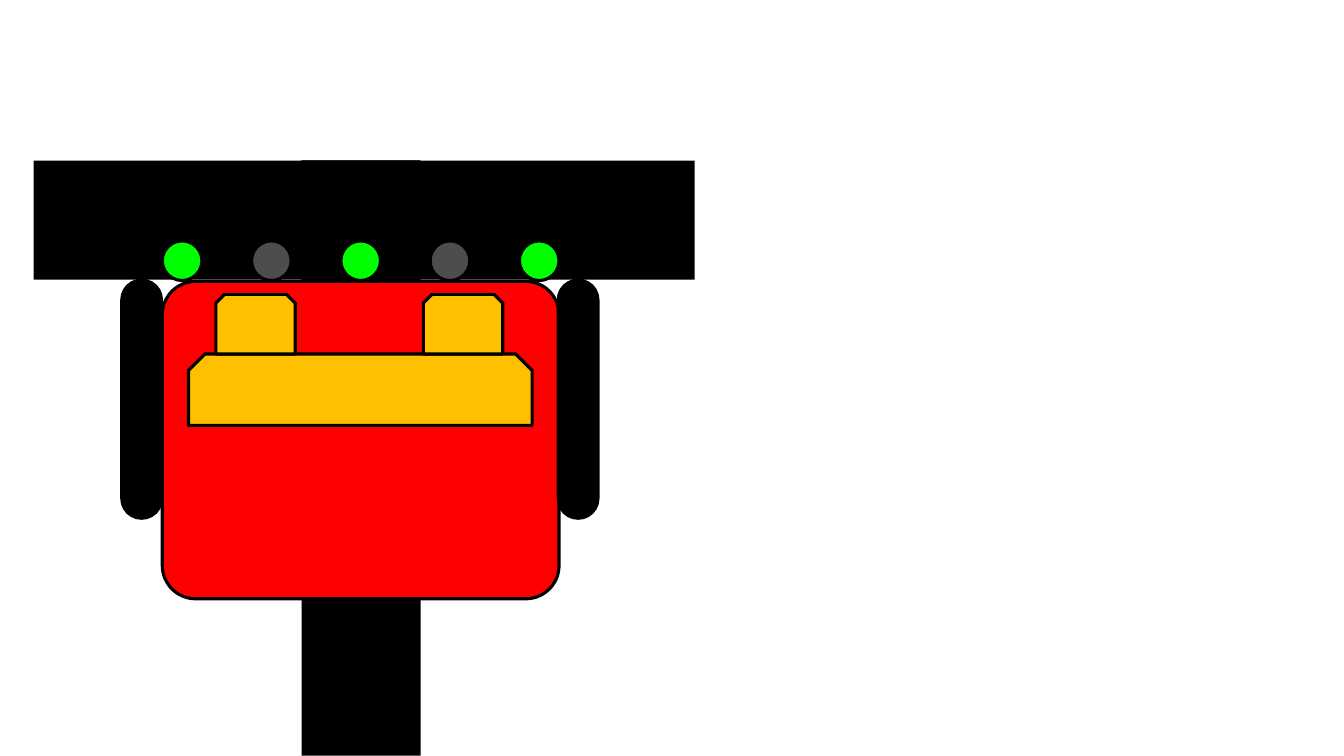
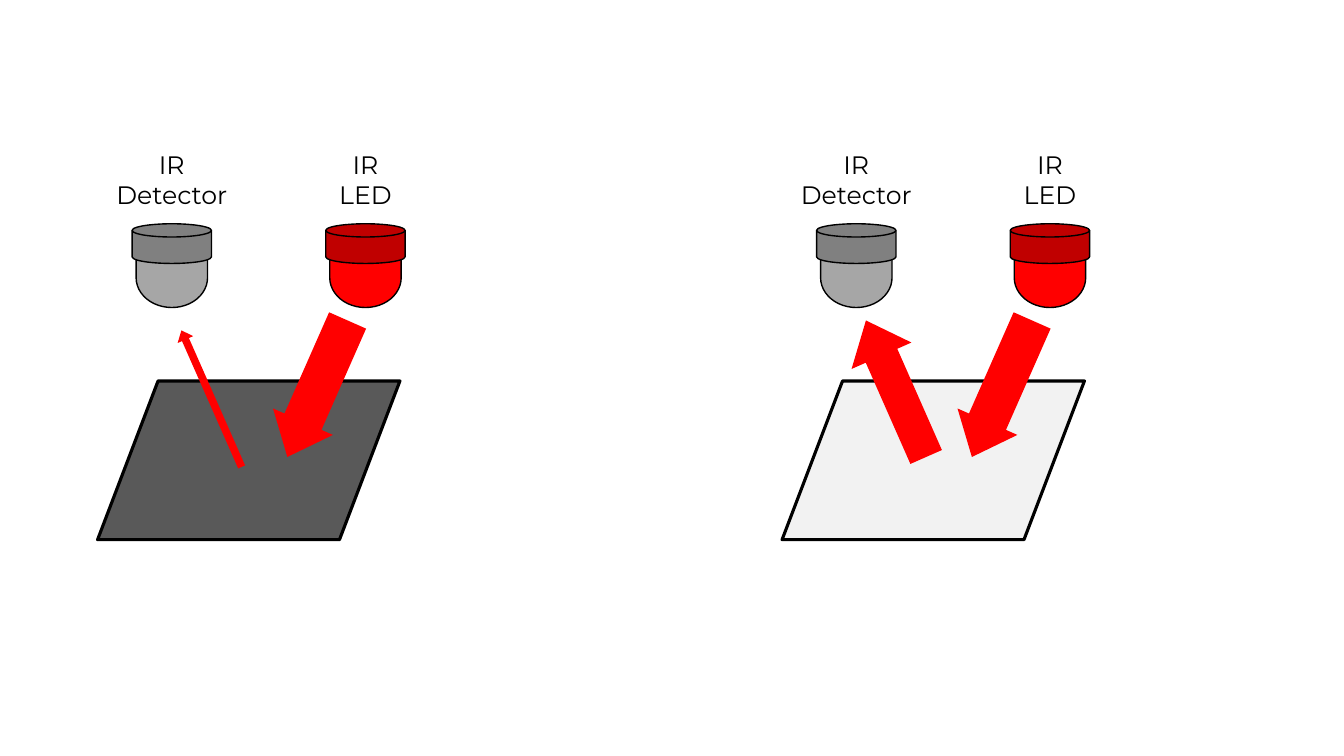
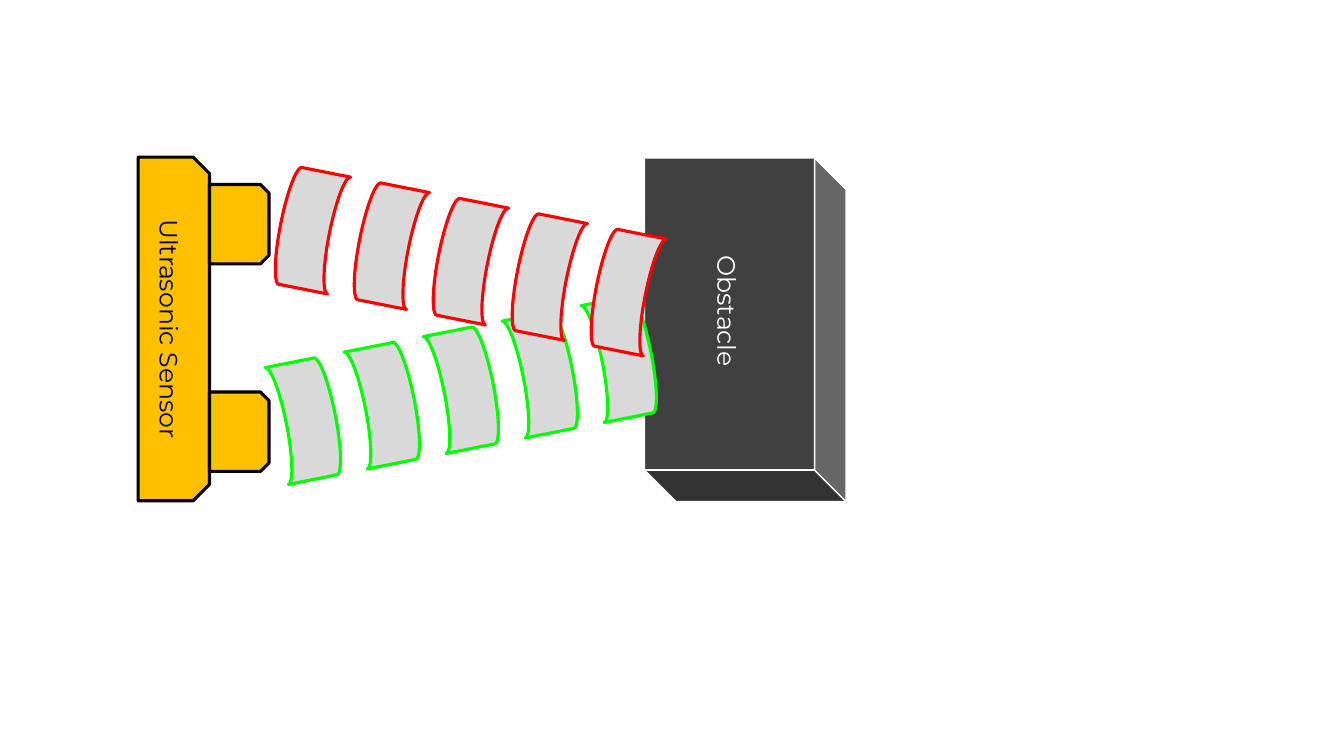
"""Draw a line-following robot, its infrared sensors and its ultrasonic sensor."""
from lxml.etree import SubElement
from pptx import Presentation
from pptx.dml.color import RGBColor
from pptx.enum.shapes import MSO_SHAPE as Kind
from pptx.enum.text import MSO_ANCHOR, PP_ALIGN
from pptx.oxml.ns import qn
from pptx.util import Cm, Pt

INK = {
    "black": "000000", "white": "FFFFFF", "red": "FF0000", "dark red": "C00000",
    "green": "00FF00", "gold": "FFC000", "gray": "A6A6A6", "dim": "808080",
    "floor": "595959", "pale": "F2F2F2", "block": "404040", "wave": "D9D9D9",
}
FONT = {"name": "Montserrat", "size": Pt(18)}
LONG, DEEP = 8.66, 1.8
EYE = (2, 1.5)
GAP = 5.23


def draw(page, kind, box, fill, line=None, width=2.25, turn=0, adj=(), flip=None):
    part = page.shapes.add_shape(kind, *[Cm(n) for n in box])
    part.shadow.inherit = False
    part.rotation = turn
    part.fill.solid()
    part.fill.fore_color.rgb = RGBColor.from_string(INK[fill])
    if line:
        part.line.color.rgb = RGBColor.from_string(INK[line])
        part.line.width = Pt(width)
    else:
        part.line.fill.background()
    for i, value in enumerate(adj):
        part.adjustments[i] = value
    if flip:
        part.element.spPr.find(qn("a:xfrm")).set(flip, "1")
    return part


def write(part, text, ink, align, wrap=True):
    frame = part.text_frame
    frame.word_wrap = wrap
    para = frame.paragraphs[0]
    para.alignment = align
    run = para.add_run()
    run.text = text
    for name, value in FONT.items():
        setattr(run.font, name, value)
    run.font.color.rgb = RGBColor.from_string(INK[ink])


deck = Presentation()
deck.slide_width, deck.slide_height = Cm(33.87), Cm(19.05)
robot, light, sound = [deck.slides.add_slide(deck.slide_layouts[6]) for _ in range(3)]

for box in [(7.6, 4.04, 3, 15), (7.58, 4.05, 9.93, 3), (0.85, 4.05, 9.73, 3)]:
    draw(robot, Kind.RECTANGLE, box, "black")
draw(robot, Kind.ROUNDED_RECTANGLE, (4.09, 7.09, 10, 8), "red", "black", adj=[0.105])
draw(robot, Kind.SNIP_2_SAME_RECTANGLE, (4.75, 8.92, LONG, DEEP), "gold", "black", adj=[0.23, 0])
for i in range(2):
    draw(robot, Kind.SNIP_2_SAME_RECTANGLE, (5.44 + i * GAP, 7.42, *EYE), "gold", "black", adj=[0.145, 0])
for x in (14.07, 3.07):
    draw(robot, Kind.ROUNDED_RECTANGLE, (x, 7.06, 1, 6), "black", "black", adj=[0.5])
for i in range(5):
    lit = i % 2 == 0
    lamp = draw(robot, Kind.FLOWCHART_CONNECTOR, (4.09 + i * 2.25, 6.07, 1, 1),
                "green" if lit else "white", "black")
    if not lit:
        tint = lamp.element.spPr.find(qn("a:solidFill")).find(qn("a:srgbClr"))
        SubElement(tint, qn("a:alpha"), val="30000")

PARTS = [
    ("IR LED", 9.21, 2.51, "red", "dark red"),
    ("IR Detector", 4.33, 3.78, "gray", "dim"),
]
for left, floor, top, thick, shaft in [(17.25, "pale", 8.97, 1.65, 0.526), (0, "floor", 9.83, 0.43, 0.443)]:
    for text, mid, wide, lens, cap in PARTS:
        x = left + mid
        draw(light, Kind.FLOWCHART_DELAY, (x - 0.75, 6.1, 1.5, 1.8), lens, "black", 1, 90)
        draw(light, Kind.FLOWCHART_MAGNETIC_DISK, (x - 1, 5.64, 2, 1), cap, "black", 1)
        label = light.shapes.add_textbox(Cm(x - wide / 2), Cm(3.63), Cm(wide), Cm(1.8))
        write(label, text, "black", PP_ALIGN.CENTER)
    draw(light, Kind.FLOWCHART_DATA, (left + 2.46, 9.6, 7.62, 4), floor, "black")
    draw(light, Kind.RIGHT_ARROW, (left + 6.12, 8.97, 3.76, 1.65), "red", turn=113.8, adj=[0.617, 0.589])
    draw(light, Kind.RIGHT_ARROW, (left + 3.45, top, 3.76, thick), "red", turn=246.2,
         adj=[shaft, 0.589], flip="flipV")

board = draw(sound, Kind.SNIP_2_SAME_RECTANGLE, (0.05, 7.39, LONG, DEEP), "gold", "black", turn=90, adj=[0.23, 0])
board.text_frame.vertical_anchor = MSO_ANCHOR.MIDDLE
write(board, "Ultrasonic Sensor", "black", PP_ALIGN.CENTER)
for i in range(2):
    draw(sound, Kind.SNIP_2_SAME_RECTANGLE, (5.03, 4.9 + i * GAP, *EYE), "gold", "black", turn=90, adj=[0.145, 0])
draw(sound, Kind.CUBE, (14.45, 5.77, LONG, 5.08), "block", "white", 1, 90, [0.156])
for ink, x, y, rise, turn, flip in [
    ("green", 6.96, 9.09, -0.39, 168.8, None),
    ("red", 7.06, 4.29, 0.39, 191.2, "flipH"),
]:
    for i in range(5):
        draw(sound, Kind.FLOWCHART_STORED_DATA, (x + i * 1.99, y + i * rise, 1.5, 3),
             "wave", ink, turn=turn, flip=flip)
label = sound.shapes.add_textbox(Cm(16.51), Cm(7.49), Cm(3.63), Cm(1.02))
label.rotation = 90
write(label, "Obstacle", "white", PP_ALIGN.LEFT, False)

deck.save("out.pptx")
